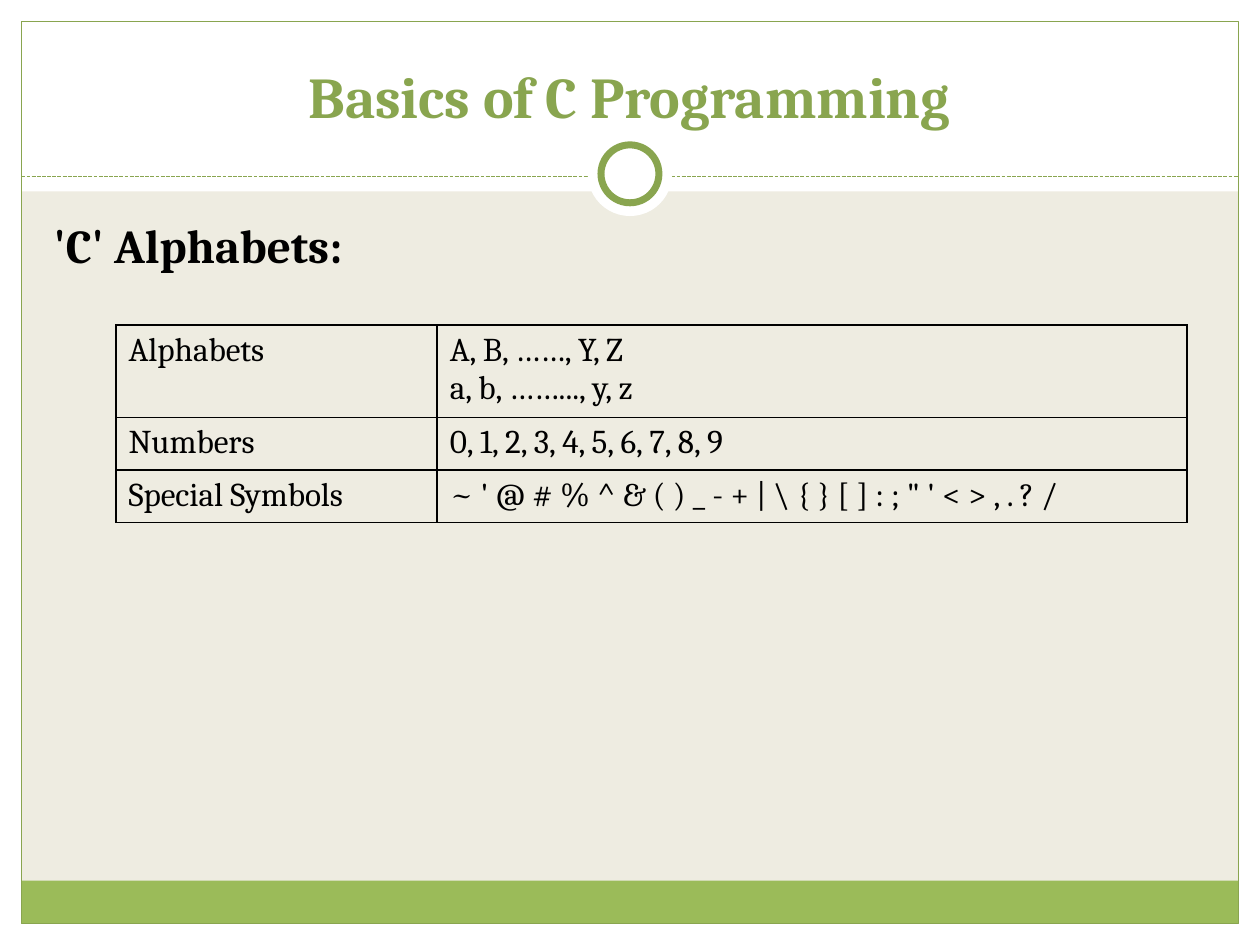
from dataclasses import dataclass

from lxml.etree import SubElement
from pptx import Presentation
from pptx.dml.color import RGBColor
from pptx.enum.dml import MSO_LINE
from pptx.enum.shapes import MSO_CONNECTOR, MSO_SHAPE
from pptx.enum.text import MSO_ANCHOR, PP_ALIGN
from pptx.oxml.ns import qn
from pptx.util import Inches, Pt


@dataclass(frozen=True)
class Theme:
    font: str = "Cambria"
    paper: str = "EEECE1"
    white: str = "FFFFFF"
    band: str = "9BBB59"
    accent: str = "89A54F"
    ink: str = "000000"
    title_size: int = 33
    heading_size: int = 27
    table_size: int = 19


theme = Theme()
WIDTH, HEIGHT = 10, 7.5
MARGIN = 0.17
INNER = WIDTH - 2 * MARGIN
HEADER = 1.52
RULE_Y = 1.4
RING_Y = 1.38

deck = Presentation()
deck.slide_width, deck.slide_height = Inches(WIDTH), Inches(HEIGHT)
page = deck.slides.add_slide(deck.slide_layouts[5])
page.background.fill.solid()
page.background.fill.fore_color.rgb = RGBColor.from_string(theme.paper)


def add_part(kind, left, top, width, height, fill=None, line_width=0):
    part = page.shapes.add_shape(kind, Inches(left), Inches(top), Inches(width), Inches(height))
    part.shadow.inherit = False
    if fill:
        part.fill.solid()
        part.fill.fore_color.rgb = RGBColor.from_string(fill)
    else:
        part.fill.background()
    if line_width:
        part.line.color.rgb = RGBColor.from_string(theme.accent)
        part.line.width = Pt(line_width)
    else:
        part.line.fill.background()


def write(frame, lines, size, color=theme.ink, bold=False, align=PP_ALIGN.LEFT):
    frame.word_wrap = True
    frame.text = "\n".join(lines)
    for para in frame.paragraphs:
        para.alignment = align
        para.font.name, para.font.size, para.font.bold = theme.font, Pt(size), bold
        para.font.color.rgb = RGBColor.from_string(color)


# White margins and header, green footer band, thin frame
for left, top, width, height in (
    (0, HEIGHT - MARGIN, WIDTH, MARGIN),
    (0, 0, WIDTH, HEADER),
    (0, 0, MARGIN, HEIGHT),
    (WIDTH - MARGIN, 0, MARGIN, HEIGHT),
):
    add_part(MSO_SHAPE.RECTANGLE, left, top, width, height, theme.white)
add_part(MSO_SHAPE.RECTANGLE, MARGIN, 6.99, INNER, 0.34, theme.band)
add_part(MSO_SHAPE.RECTANGLE, MARGIN, MARGIN, INNER, HEIGHT - 2 * MARGIN, line_width=0.75)

# Dashed rule under the title
rule = page.shapes.add_connector(
    MSO_CONNECTOR.STRAIGHT, Inches(MARGIN), Inches(RULE_Y), Inches(WIDTH - MARGIN), Inches(RULE_Y)
)
rule.line.color.rgb = RGBColor.from_string(theme.accent)
rule.line.width = Pt(0.75)
rule.line.dash_style = MSO_LINE.SQUARE_DOT
SubElement(rule._element.spPr, qn("a:effectLst"))

# Ring centred on the rule: white halo, then outlined circle
for diameter, line_width in ((0.67, 0), (0.46, 4)):
    add_part(MSO_SHAPE.OVAL, (WIDTH - diameter) / 2, RING_Y - diameter / 2,
             diameter, diameter, theme.white, line_width)

# Title, brought in front of the header
title = page.shapes.title
title.left, title.top, title.width, title.height = map(Inches, (0.33, 0.25, 9.33, 0.83))
write(title.text_frame, ["Basics of C Programming"], theme.title_size,
      theme.accent, True, PP_ALIGN.CENTER)
title.text_frame.vertical_anchor = MSO_ANCHOR.BOTTOM
page.shapes._spTree.append(title._element)

# Heading
heading = page.shapes.add_textbox(Inches(0.33), Inches(1.67), Inches(9.3), Inches(5))
write(heading.text_frame, ["'C' Alphabets:"], theme.heading_size, bold=True)

# Character set table
rows = (
    (["Alphabets"], ["A, B, ……, Y, Z", "a, b, ……..., y, z"]),
    (["Numbers"], ["0, 1, 2, 3, 4, 5, 6, 7, 8, 9"]),
    (["Special Symbols"], ["~ ' @ # % ^ & ( ) _ - + | \\ { } [ ] : ; \" ' < > , . ? /"]),
)
column_widths = (2.55, 5.95)
row_heights = (0.72, 0.41, 0.41)
table = page.shapes.add_table(
    len(rows), len(column_widths), Inches(0.92), Inches(2.58),
    Inches(sum(column_widths)), Inches(sum(row_heights))
).table
table.first_row = table.horz_banding = False
for column, width in zip(table.columns, column_widths):
    column.width = Inches(width)
for row, height, texts in zip(table.rows, row_heights, rows):
    row.height = Inches(height)
    for cell, lines in zip(row.cells, texts):
        write(cell.text_frame, lines, theme.table_size)
        properties = cell._tc.get_or_add_tcPr()
        for side in ("lnL", "lnR", "lnT", "lnB"):
            border = SubElement(properties, qn(f"a:{side}"), w=str(Pt(1)))
            SubElement(SubElement(border, qn("a:solidFill")), qn("a:srgbClr"), val=theme.ink)
        cell.fill.background()

deck.save("out.pptx")
